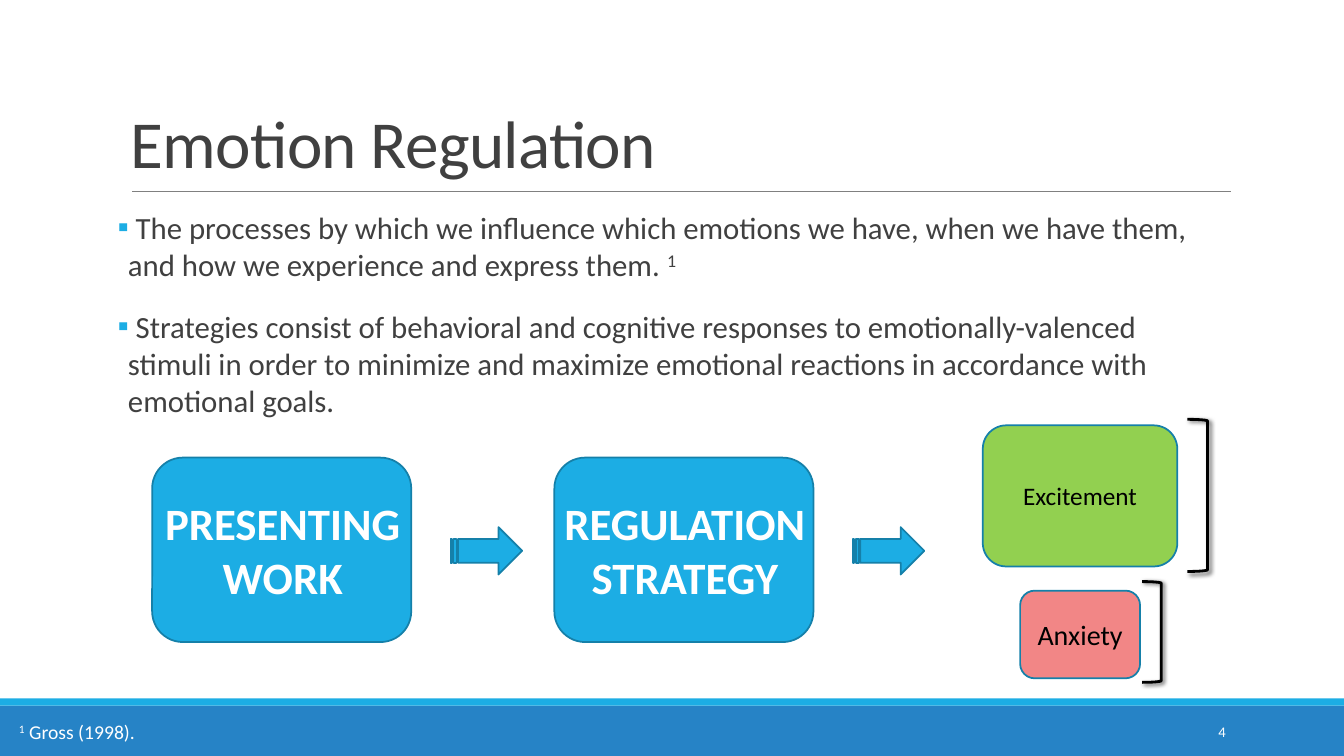
from lxml import etree
from pptx import Presentation
from pptx.dml.color import RGBColor
from pptx.enum.shapes import MSO_CONNECTOR, MSO_SHAPE
from pptx.enum.text import MSO_ANCHOR, PP_ALIGN
from pptx.oxml.ns import qn
from pptx.util import Inches, Pt

RECT, ROUND = MSO_SHAPE.RECTANGLE, MSO_SHAPE.ROUNDED_RECTANGLE
ARROW, BRACKET = MSO_SHAPE.STRIPED_RIGHT_ARROW, MSO_SHAPE.RIGHT_BRACKET
STRAIGHT = MSO_CONNECTOR.STRAIGHT
TOP, MIDDLE, BOTTOM = MSO_ANCHOR.TOP, MSO_ANCHOR.MIDDLE, MSO_ANCHOR.BOTTOM
LEFT, CENTER, RIGHT = PP_ALIGN.LEFT, PP_ALIGN.CENTER, PP_ALIGN.RIGHT

SKY = RGBColor(0x1C, 0xAD, 0xE4)
BLUE = RGBColor(0x26, 0x83, 0xC6)
EDGE = RGBColor(0x15, 0x80, 0xA9)
GREEN = RGBColor(0x92, 0xD0, 0x50)
PINK = RGBColor(0xF2, 0x86, 0x86)
INK = RGBColor(0x40, 0x40, 0x40)
GRAY = RGBColor(0x80, 0x80, 0x80)
BLACK = RGBColor(0, 0, 0)
WHITE = RGBColor(255, 255, 255)

COLS, ROWS = 133.33, 75  # grid of the slide


class Board:
    """Draws on one slide; places are (column, row, columns, rows)."""
    font = "Calibri"

    def __init__(self, deck):
        self.slide = deck.slides.add_slide(deck.slide_layouts[6])
        self.shapes = self.slide.shapes
        self.col = deck.slide_width / COLS
        self.row = deck.slide_height / ROWS

    def place(self, x, y, w, h):
        return (round(x * self.col), round(y * self.row),
                round(w * self.col), round(h * self.row))

    def fill_text(self, frame, paras, size, color, align=LEFT, anchor=TOP,
                  bold=False):
        """Each paragraph is a list of pieces; "^" raises a piece."""
        frame.vertical_anchor = anchor
        frame.text = "\n".join(pieces[0].lstrip("^") for pieces in paras)
        for para, pieces in zip(frame.paragraphs, paras):
            para.alignment = align
            for piece in pieces[1:]:
                para.add_run().text = piece.lstrip("^")
            for run, piece in zip(para.runs, pieces):
                font = run.font
                font.name, font.size, font.bold = self.font, Pt(size), bold
                font.color.rgb = color
                if piece.startswith("^"):
                    font._element.set("baseline", "30000")

    def text(self, at, paras, size, color, wrap=True, **style):
        frame = self.shapes.add_textbox(*self.place(*at)).text_frame
        frame.word_wrap = wrap
        self.fill_text(frame, paras, size, color, **style)
        return frame

    def shape(self, kind, at, fill, edge=None, label=None, size=18):
        item = self.shapes.add_shape(kind, *self.place(*at))
        item.shadow.inherit = False
        item.fill.solid()
        item.fill.fore_color.rgb = fill
        if edge is None:
            item.line.fill.background()
        else:
            item.line.color.rgb = edge
            item.line.width = Pt(1.25)
        if label:
            self.fill_text(item.text_frame, [[label]], size, BLACK,
                           align=CENTER, anchor=MIDDLE)

    def bracket(self, at):
        item = self.shapes.add_shape(BRACKET, *self.place(*at))
        item.fill.background()
        item.line.color.rgb = BLACK
        item.line.width = Pt(2)
        item.shadow.inherit = False
        glow = etree.SubElement(
            item._element.spPr.find(qn("a:effectLst")), qn("a:outerShdw"),
            blurRad=str(Pt(3)), dist=str(Pt(2)), dir="2700000")
        tone = etree.SubElement(glow, qn("a:srgbClr"), val=str(BLACK))
        etree.SubElement(tone, qn("a:alpha"), val="60000")

    def rule(self, x, y, end):
        left, top, right, _ = self.place(x, y, end, 0)
        line = self.shapes.add_connector(STRAIGHT, left, top, right, top)
        line.line.color.rgb = GRAY
        line.line.width = Pt(0.5)
        etree.SubElement(line._element.spPr, qn("a:effectLst"))

    def points(self, at, paras, size):
        frame = self.text(at, paras, size, INK)
        frame.margin_left = frame.margin_right = 0
        for index, para in enumerate(frame.paragraphs):
            props = para._p.get_or_add_pPr()
            props.set("marL", str(Inches(0.1)))
            props.set("indent", str(-Inches(0.1)))
            tint = etree.SubElement(props, qn("a:buClr"))
            etree.SubElement(tint, qn("a:srgbClr"), val=str(SKY))
            etree.SubElement(props, qn("a:buFont"), typeface=self.font)
            etree.SubElement(props, qn("a:buChar"), char="▪")
            para.space_before = Pt(12 if index else 0)
            para.space_after = Pt(6)


def main():
    deck = Presentation()
    deck.slide_width, deck.slide_height = Inches(13.333), Inches(7.5)
    board = Board(deck)

    # Footer bands and title rule
    board.shape(RECT, (0, 70, COLS, 5), BLUE)
    board.shape(RECT, (0, 69.3, COLS, 0.7), SKY)
    board.rule(13.1, 19, 122.1)

    # Title
    title = board.text((12, 9.5, 110, 9.1), [["Emotion Regulation"]], 48,
                       INK, anchor=BOTTOM).paragraphs[0]
    title.line_spacing = 0.85
    title.runs[0].font._element.set("spc", "-50")

    # Definition
    board.points((11.7, 20.2, 110, 44), [
        [" The processes by which we influence which emotions we have, "
         "when we have them, and how we experience and express them. ",
         "^1"],
        [" Strategies consist of behavioral and cognitive responses to "
         "emotionally-valenced stimuli in order to minimize and maximize "
         "emotional reactions in accordance with emotional goals."],
    ], 22)

    # Steps, each followed by an arrow
    steps = [[["PRESENTING"], ["WORK"]], [["REGULATION STRATEGY"]]]
    for index, words in enumerate(steps):
        left = 15.1 + index * 39.9
        board.shape(ROUND, (left, 45.4, 25.7, 18.3), SKY, EDGE)
        board.text((left, 48.7, 25.9, 11.8), words, 32, WHITE,
                   align=CENTER, bold=True)
        board.shape(ARROW, (left + 29.6, 52.3, 7.1, 4.7), SKY, EDGE)

    # Outcomes with their brackets
    board.shape(ROUND, (97.5, 42.2, 19.3, 14), GREEN, EDGE, "Excitement", 18)
    board.shape(ROUND, (101.2, 58.6, 11.9, 8.7), PINK, EDGE, "Anxiety", 20)
    board.bracket((117.8, 41.6, 2, 15.1))
    board.bracket((113.3, 57.7, 1.9, 10))

    # Citation and slide number
    board.text((0.9, 70.9, 14.3, 3.4), [["^1", " Gross (1998)."]], 14, WHITE,
               wrap=False)
    board.text((108.3, 70.6, 14.3, 4), [["4"]], 10.5, WHITE,
               align=RIGHT, anchor=MIDDLE)

    deck.save("out.pptx")


if __name__ == "__main__":
    main()
